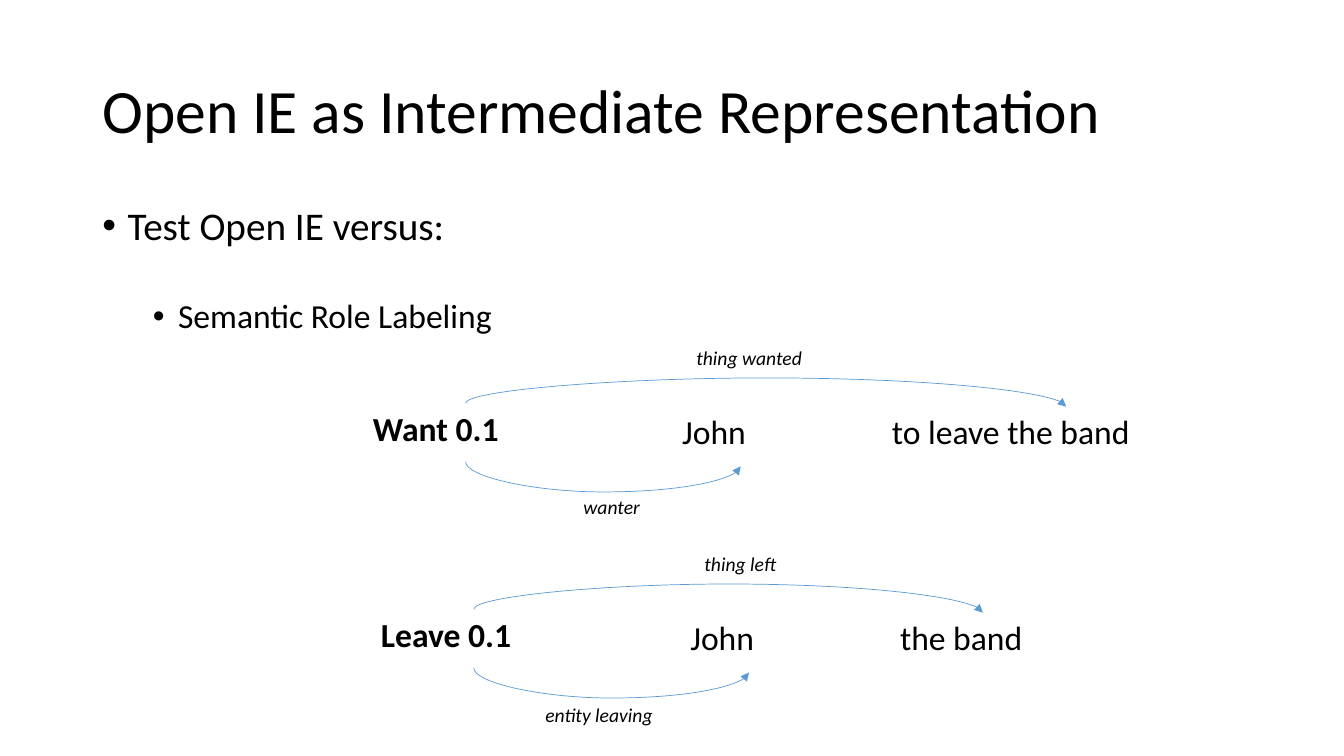
from dataclasses import dataclass

from lxml import etree
from pptx import Presentation
from pptx import util as u
from pptx.dml.color import RGBColor
from pptx.enum import shapes, text
from pptx.oxml import ns


@dataclass(frozen=True)
class Theme:
    """Colours, font and type sizes of the slide."""
    font: str = "Calibri"
    ink: RGBColor = RGBColor(0, 0, 0)
    arc: RGBColor = RGBColor(0x5B, 0x9B, 0xD5)
    arc_width: float = 0.5
    title: int = 44
    bullet: int = 28
    word: int = 24
    role: int = 14


@dataclass(frozen=True)
class Frame:
    """A predicate with its two arguments and their roles."""
    x: float
    y: float
    verb: str
    agent: str
    theme: str
    theme_width: float
    theme_span: float
    theme_role: str
    agent_role: str
    agent_role_x: float
    agent_role_y: float


THEME = Theme()
FRAMES = (
    Frame(259.2, 288, "Want 0.1", "John", "to leave the band", 264, 429,
          "thing wanted", "wanter", 150.5, 62),
    Frame(265, 435.2, "Leave 0.1", "John", "the band", 132, 363.6,
          "thing left", "entity leaving", 117.4, 63.7),
)


def place(sp, x, y, w, h):
    """Set position and size of a shape in points."""
    sp.left, sp.top, sp.width, sp.height = (u.Pt(v) for v in (x, y, w, h))


def add_run(p, words, size, bold=False, italic=False):
    """Append one formatted run to a paragraph."""
    r = p.add_run()
    r.text = words
    r.font.name = THEME.font
    r.font.size = u.Pt(size)
    r.font.color.rgb = THEME.ink
    r.font.bold = bold
    r.font.italic = italic


def add_title(slide, words):
    """Fill the title placeholder."""
    sp = slide.shapes.title
    place(sp, 66, 28.8, 828, 104.4)
    tf = sp.text_frame
    tf.vertical_anchor = text.MSO_ANCHOR.MIDDLE
    p = tf.paragraphs[0]
    p.alignment = text.PP_ALIGN.LEFT
    p.line_spacing = 0.9
    add_run(p, words, THEME.title)


def add_bullets(slide, items):
    """Fill the body placeholder with (words, level, size, space before)."""
    sp = slide.placeholders[1]
    place(sp, 66, 144, 828, 342.7)
    tf = sp.text_frame
    tf.auto_size = text.MSO_AUTO_SIZE.NONE
    for i, (words, level, size, before) in enumerate(items):
        p = tf.add_paragraph() if i else tf.paragraphs[0]
        p.level = level
        p.line_spacing = 0.9
        p.space_before = u.Pt(before)
        pPr = p._p.get_or_add_pPr()
        pPr.set("marL", str(u.Pt(18 + 36 * level)))
        pPr.set("indent", str(u.Pt(-18)))
        etree.SubElement(pPr, ns.qn("a:buFont")).set("typeface", "Arial")
        etree.SubElement(pPr, ns.qn("a:buChar")).set("char", "•")
        add_run(p, words, size)


def add_text(slide, words, x, y, w, h, size, wrap=True, **style):
    """Add a one-line text box."""
    sp = slide.shapes.add_textbox(*(u.Pt(v) for v in (x, y, w, h)))
    tf = sp.text_frame
    tf.word_wrap = wrap
    add_run(tf.paragraphs[0], words, size, **style)


def add_arc(slide, x, y, span, drop, bulge):
    """Add a curved arrow from (x, y), bulging down (+) or up (-)."""
    cx, cy = x + span / 2, y + drop / 2
    # The connector stands upright and is turned by three quarters.
    ends = (cx + drop / 2, cy - span / 2, cx - drop / 2, cy + span / 2)
    cxn = slide.shapes.add_connector(
        shapes.MSO_CONNECTOR.CURVE, *(u.Pt(v) for v in ends))
    cxn.line.color.rgb = THEME.arc
    cxn.line.width = u.Pt(THEME.arc_width)
    spPr = cxn._element.spPr
    spPr.find(ns.qn("a:xfrm")).set("rot", str(270 * 60000))
    guides = spPr.find(ns.qn("a:prstGeom")).get_or_add_avLst()
    gd = etree.SubElement(guides, ns.qn("a:gd"))
    gd.set("name", "adj1")
    gd.set("fmla", f"val {round(bulge / drop * 100000)}")
    ln = spPr.find(ns.qn("a:ln"))
    etree.SubElement(ln, ns.qn("a:tailEnd")).set("type", "triangle")
    etree.SubElement(spPr, ns.qn("a:effectLst"))


def add_frame(slide, f):
    """Draw a predicate, its arguments, and the labelled role arcs."""
    x, y = f.x, f.y
    add_text(slide, f.verb, x, y, 147.6, 42.5, THEME.word, bold=True)
    add_text(slide, f.agent, x + 221, y + 2.2, 97.2, 43.2, THEME.word)
    add_text(slide, f.theme, x + 370.8, y + 2.2, f.theme_width, 41.8,
             THEME.word)
    add_arc(slide, x + 73.4, y + 41.8, 196.6, 3.4, 21.6)
    add_arc(slide, x + 73.4, y, f.theme_span, 2.4, -18)
    roles = ((f.theme_role, 231.1, -44.2, 90.7 if f.x < 260 else 67),
             (f.agent_role, f.agent_role_x, f.agent_role_y,
              55.4 if f.x < 260 else 92.2))
    for words, dx, dy, w in roles:
        add_text(slide, words, x + dx, y + dy, w, 24.2, THEME.role,
                 wrap=False, italic=True)


def main():
    """Build and save the slide."""
    prs = Presentation()
    prs.slide_width, prs.slide_height = u.Pt(960), u.Pt(540)
    slide = prs.slides.add_slide(prs.slide_layouts[1])
    add_title(slide, "Open IE as Intermediate Representation")
    add_bullets(slide, (
        ("Test Open IE versus:", 0, THEME.bullet, 10),
        ("Semantic Role Labeling", 1, THEME.word, 36),
    ))
    for f in FRAMES:
        add_frame(slide, f)
    prs.save("out.pptx")


if __name__ == "__main__":
    main()
